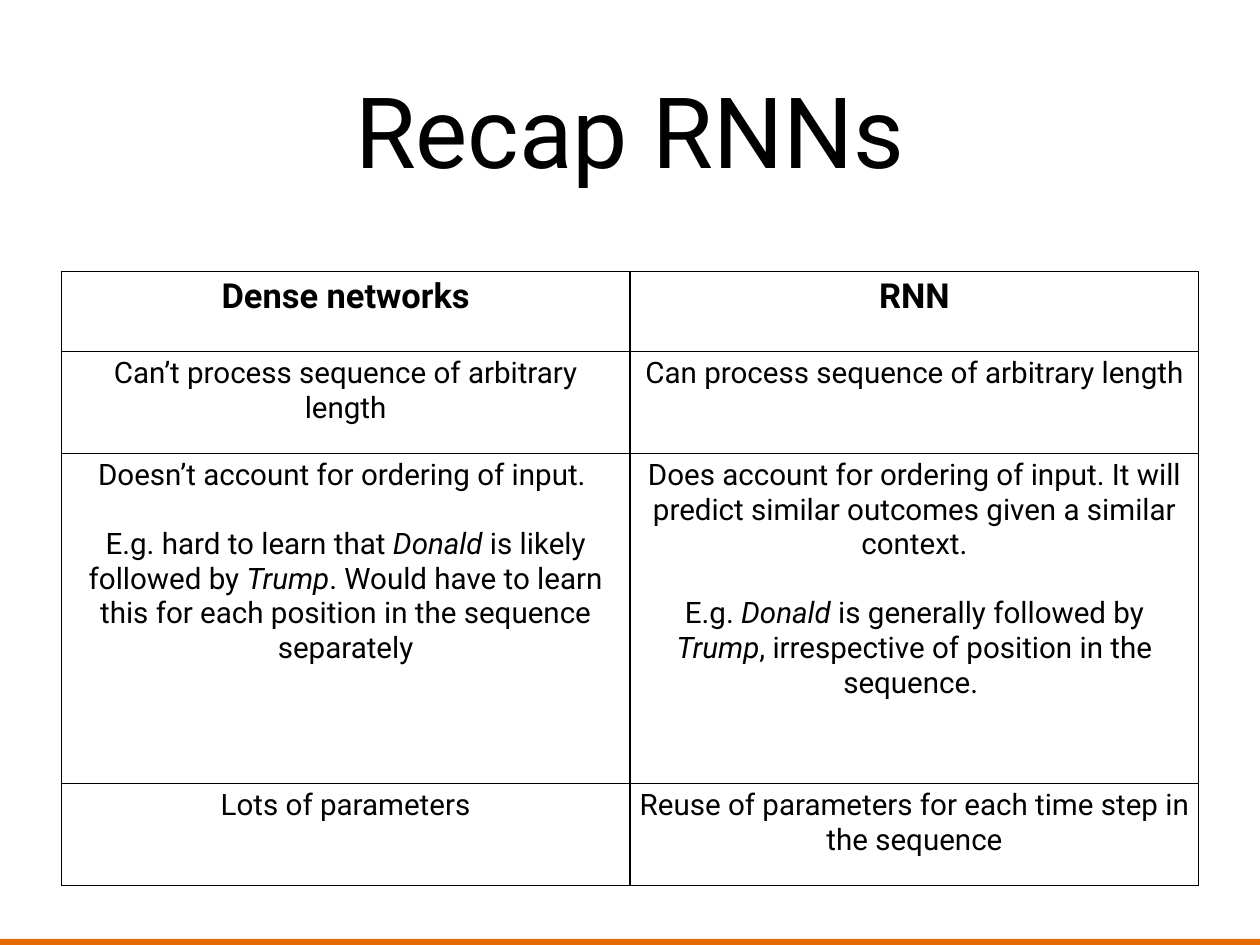
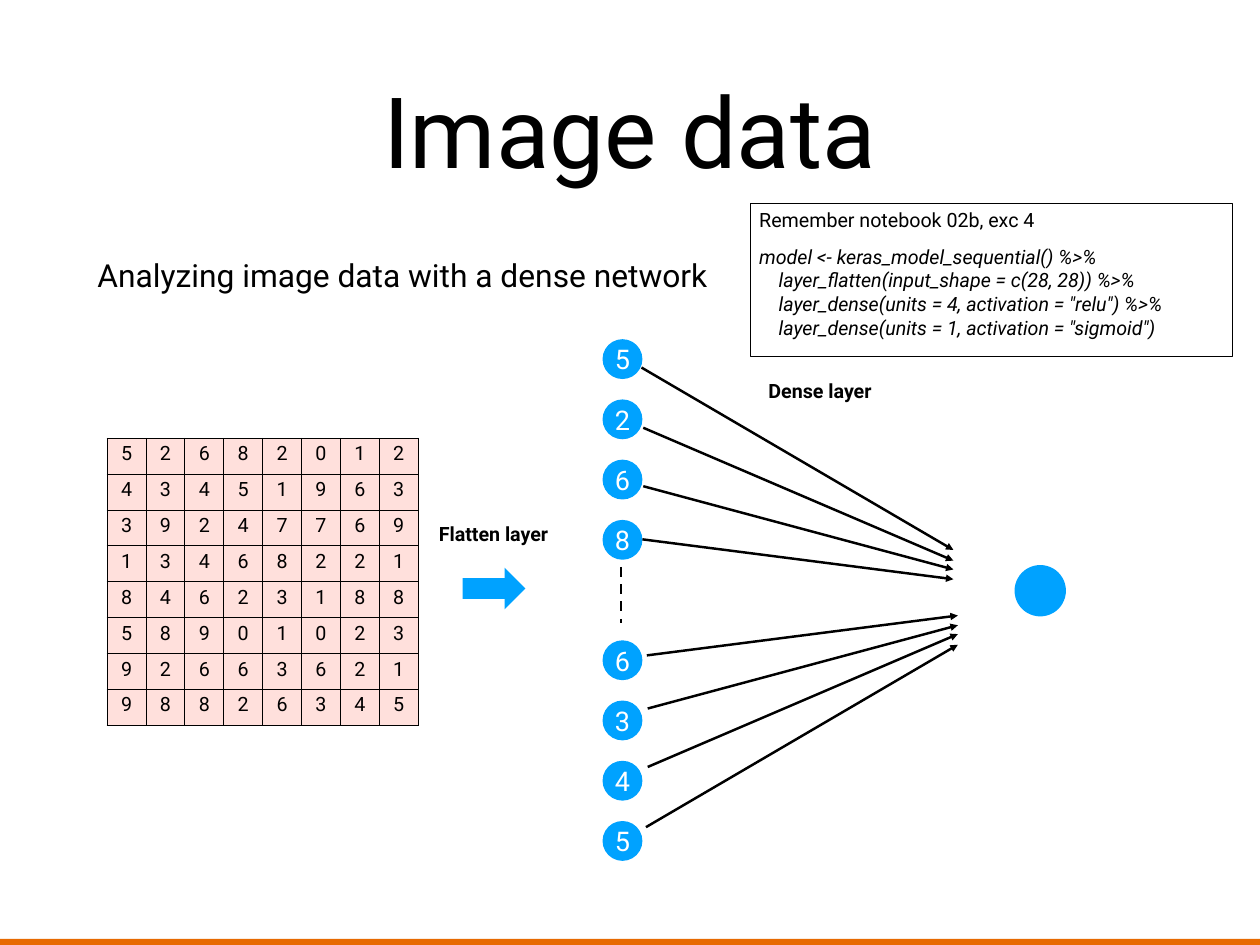
import pptx
import pptx.util
import pptx.dml.color
import pptx.enum.dml
import pptx.enum.shapes
import pptx.enum.text
import pptx.oxml.ns
import pptx.oxml.xmlchemy

Inches, Pt = pptx.util.Inches, pptx.util.Pt
Shape = pptx.enum.shapes.MSO_SHAPE
Align = pptx.enum.text.PP_ALIGN
Anchor = pptx.enum.text.MSO_ANCHOR
qn = pptx.oxml.ns.qn
tag = pptx.oxml.xmlchemy.OxmlElement

WIDTH, HEIGHT = 14.22, 10.67
FONT = "Roboto"
BLACK, WHITE, ORANGE, BLUE, PINK = "000000", "FFFFFF", "E76A01", "00A2FF", "FFE0DC"
PAD = Inches(0.06)
TIGHT = dict(margin_left=PAD, margin_right=PAD, margin_top=PAD, margin_bottom=PAD,
             vertical_anchor=Anchor.MIDDLE, word_wrap=True,
             auto_size=pptx.enum.text.MSO_AUTO_SIZE.NONE)

# Asterisks enclose italic words; each cell is a list of paragraphs.
RECAP = [
    (["Dense networks"], ["RNN"]),
    (["Can’t process sequence of arbitrary length"],
     ["Can process sequence of arbitrary length"]),
    (["Doesn’t account for ordering of input. ",
      "E.g. hard to learn that *Donald* is likely followed by *Trump*. "
      "Would have to learn this for each position in the sequence separately"],
     ["Does account for ordering of input. It will predict similar outcomes "
      "given a similar context.",
      "E.g. *Donald* is generally followed by *Trump*, irrespective of position "
      "in the sequence. "]),
    (["Lots of parameters"],
     ["Reuse of parameters for each time step in the sequence"]),
]
RECAP_ROWS = [0.9, 1.15, 3.73, 1.15]

PIXELS = ["52682012", "43451963", "39247769", "13468221",
          "84623188", "58901023", "92663621", "98826345"]
INPUTS = "5268 6345"  # the gap is the dashed line
CODE = [
    "*model <- keras_model_sequential() %>%*",
    "*layer_flatten(input_shape = c(28, 28)) %>%*",
    '*layer_dense(units = 4, activation = "relu") %>%*',
    '*layer_dense(units = 1, activation = "sigmoid")*',
]
LABELS = [("Flatten layer", (4.85, 5.83, 1.44, 0.38)),
          ("Dense layer", (8.57, 4.22, 1.37, 0.38))]
# Start x, start y and end y of the upper arrows; the lower ones mirror them.
ARROWS = [(7.24, 4.15, 6.21), (7.26, 4.83, 6.33), (7.26, 5.49, 6.43), (7.25, 6.09, 6.54)]
ARROW_END, MIRROR, SHIFT = 10.76, 13.49, 0.05


def color(code):
    return pptx.dml.color.RGBColor.from_string(code)


def style(item, values):
    for name, value in values.items():
        setattr(item, name, value)


def box(at):
    return [Inches(v) for v in at]


def write(frame, paras, size, ink=BLACK, align=Align.CENTER, gap=0, bold=False):
    """Fill a text frame; gap is the space before each paragraph after the first."""
    for i, text in enumerate(paras):
        para = frame.paragraphs[0] if i == 0 else frame.add_paragraph()
        style(para, dict(alignment=align, space_before=Pt(gap if i else 0)))
        for j, part in enumerate(text.split("*")):
            if part:
                run = para.add_run()
                run.text = part
                style(run.font, dict(name=FONT, size=Pt(size), bold=bold, italic=j % 2 == 1))
                run.font.color.rgb = color(ink)


def shape(slide, kind, at, fill=None, edge=None):
    new = slide.shapes.add_shape(kind, *box(at))
    new.shadow.inherit = False
    if fill:
        new.fill.solid()
        new.fill.fore_color.rgb = color(fill)
    else:
        new.fill.background()
    if edge:
        new.line.color.rgb = color(BLACK)
        new.line.width = Pt(edge)
    else:
        new.line.fill.background()
    return new


def line(slide, start, end, head=True):
    """Draw an arrow, or a dashed line when it has no head."""
    new = slide.shapes.add_connector(pptx.enum.shapes.MSO_CONNECTOR.STRAIGHT,
                                     *box(start + end))
    new.line.color.rgb = color(BLACK)
    new.line.width = Pt(2)
    props = new.element.spPr
    if head:
        tip = tag("a:tailEnd")
        tip.set("type", "triangle")
        props.find(qn("a:ln")).append(tip)
    else:
        new.line.dash_style = pptx.enum.dml.MSO_LINE.DASH
    props.append(tag("a:effectLst"))


def border(cell):
    props = cell._tc.get_or_add_tcPr()
    for i, side in enumerate(("a:lnL", "a:lnR", "a:lnT", "a:lnB")):
        edge = tag(side)
        edge.set("w", str(Pt(1)))
        fill = tag("a:solidFill")
        ink = tag("a:srgbClr")
        ink.set("val", BLACK)
        fill.append(ink)
        edge.append(fill)
        props.insert(i, edge)


def grid(slide, at, rows, cols):
    """Add a bordered table without banding."""
    table = slide.shapes.add_table(len(rows), len(cols), *box(at)).table
    style(table, dict(first_row=False, horz_banding=False))
    for row, high in zip(table.rows, rows):
        row.height = Inches(high)
    for col, wide in zip(table.columns, cols):
        col.width = Inches(wide)
    for cell in table.iter_cells():
        cell.fill.background()
        border(cell)
    return table


def place(holder, at):
    left, top, width, height = box(at)
    style(holder, dict(left=left, top=top, width=width, height=height))
    style(holder.text_frame, TIGHT)


def start(deck, layout, title):
    slide = deck.slides.add_slide(deck.slide_layouts[layout])
    place(slide.shapes.title, (1.04, 0.28, 12.14, 2.36))
    write(slide.shapes.title.text_frame, [title], 80)
    return slide


def add_band(deck, slide):
    """Move the orange foot band to the master, so every slide shows it."""
    band = shape(slide, Shape.RECTANGLE, (0, 10.6, WIDTH, 0.07), ORANGE).element
    band.xpath(".//p:cNvPr")[0].set("id", "99")
    deck.slide_master.shapes.element.append(band)


def recap(deck):
    slide = start(deck, 5, "Recap RNNs")
    add_band(deck, slide)
    table = grid(slide, (0.69, 3.07, 12.84, 6.93), RECAP_ROWS, [6.42] * 2)
    for r, row in enumerate(RECAP):
        for c, paras in enumerate(row):
            write(table.cell(r, c).text_frame, paras, 24 if r else 28, gap=28, bold=r == 0)


def image_data(deck):
    slide = start(deck, 1, "Image data")
    body = slide.placeholders[1]
    place(body, (1.04, 2.83, 12.14, 6.88))
    body.text_frame.vertical_anchor = Anchor.TOP
    write(body.text_frame, ["Analyzing image data with a dense network"], 25.8,
          align=Align.LEFT)
    props = body.text_frame.paragraphs[0]._p.get_or_add_pPr()
    for name in ("marL", "indent"):
        props.set(name, "0")
    props.append(tag("a:buNone"))

    side = 8
    table = grid(slide, (1.21, 4.95, 3.51, 3.24), [3.24 / side] * side, [3.51 / side] * side)
    for r, row in enumerate(PIXELS):
        for c, digit in enumerate(row):
            cell = table.cell(r, c)
            cell.fill.solid()
            cell.fill.fore_color.rgb = color(PINK)
            write(cell.text_frame, [digit], 16)

    shape(slide, Shape.RIGHT_ARROW, (5.22, 6.41, 0.71, 0.47), BLUE)
    for text, at in LABELS:
        frame = slide.shapes.add_textbox(*box(at)).text_frame
        style(frame, {**TIGHT, "word_wrap": False})
        write(frame, [text], 16, bold=True)

    for i, digit in enumerate(INPUTS):
        if digit == " ":
            line(slide, (7.01, 6.4), (7.01, 7.04), head=False)
            continue
        node = shape(slide, Shape.OVAL, (6.8, 3.83 + i * 0.68, 0.45, 0.45), BLUE)
        style(node.text_frame, TIGHT)
        write(node.text_frame, [digit], 22, WHITE)
    shape(slide, Shape.OVAL, (11.45, 6.38, 0.58, 0.58), BLUE)
    for x, y, end in ARROWS:
        line(slide, (x, y), (ARROW_END, end))
        line(slide, (x + SHIFT, MIRROR - y), (ARROW_END + SHIFT, MIRROR - end))

    note = shape(slide, Shape.RECTANGLE, (8.47, 2.3, 5.44, 1.73), edge=0.75).text_frame
    style(note, dict(word_wrap=True, vertical_anchor=Anchor.TOP))
    write(note, ["Remember notebook 02b, exc 4"] + CODE, 16, align=Align.LEFT)
    note.paragraphs[1].space_before = Pt(10.5)
    for para in note.paragraphs[2:]:
        para._p.get_or_add_pPr().set("marL", str(Inches(0.22)))


def main():
    deck = pptx.Presentation()
    style(deck, dict(slide_width=Inches(WIDTH), slide_height=Inches(HEIGHT)))
    recap(deck)
    image_data(deck)
    deck.save("out.pptx")


if __name__ == "__main__":
    main()
